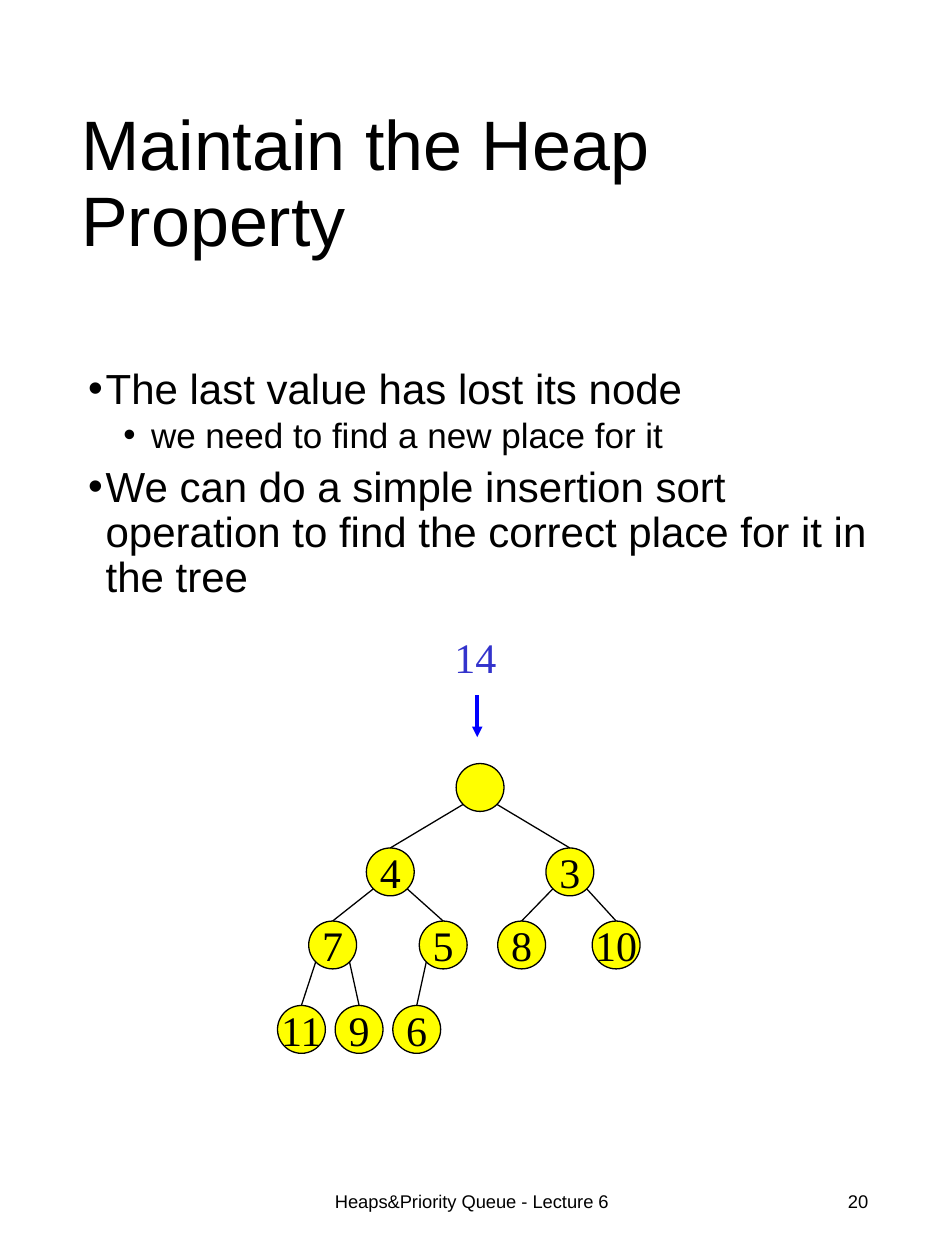
from math import sqrt

from lxml import etree
from pptx import Presentation
from pptx import util as u
from pptx.dml.color import RGBColor
from pptx.enum import shapes, text
from pptx.oxml.ns import qn

# The slide is a grid of 100 columns by 100 rows
W, H = u.Inches(7.5), u.Inches(10)
NODE = u.Inches(0.38)
SANS, SERIF = "Arial", "Times New Roman"
BLACK, YELLOW, BLUE, INDIGO = "000000", "FFFF00", "0000FF", "3333CC"

# Heap in array order: the children of item i are items 2i + 1 and 2i + 2
HEAP = ["", "4", "3", "7", "5", "8", "10", "11", "9", "6"]
CENTRES = [50.8, 41.3, 60.3, 35.2, 46.9, 55.2, 65.2, 31.9, 38, 44.1]
LEVEL_TOPS = [60.6, 67.3, 73.1, 79.8]

BULLETS = [
    ("The last value has lost its node", 24, 0.14, 0.14, 0),
    ("we need to find a new place for it", 20, 0.5, 0.22, 2.8),
    ("We can do a simple insertion sort operation to find the correct "
     "place for it in the tree", 24, 0.14, 0.14, 5.7),
]


def col(n):
    return round(W * n / 100)


def row(n):
    return round(H * n / 100)


def color(value):
    return RGBColor.from_string(value)


def write(p, words, size=24, font=SANS, fill=BLACK, align=None, spacing=None,
          before=None):
    """Put formatted words in a paragraph."""
    r = p.add_run()
    r.text = words
    r.font.size = u.Pt(size)
    r.font.name = font
    r.font.color.rgb = color(fill)
    p.alignment = align
    p.line_spacing = spacing
    if before:
        p.space_before = u.Pt(before)


def add_box(s, x, y, w, h, anchor=text.MSO_ANCHOR.MIDDLE):
    tf = s.shapes.add_textbox(col(x), row(y), col(w), row(h)).text_frame
    tf.word_wrap = True
    tf.vertical_anchor = anchor
    return tf


def add_bullet(p, left, hang):
    pPr = p._p.get_or_add_pPr()
    pPr.set("marL", str(u.Inches(left)))
    pPr.set("indent", str(-u.Inches(hang)))
    etree.SubElement(pPr, qn("a:buFont")).set("typeface", SANS)
    etree.SubElement(pPr, qn("a:buChar")).set("char", "•")


def add_node(s, label, x, y, filled=True, ink=BLACK):
    """Draw a round node centred on column x with its top at row y."""
    sp = s.shapes.add_shape(shapes.MSO_SHAPE.OVAL, col(x) - NODE // 2, row(y),
                            NODE, NODE)
    sp.shadow.inherit = False
    if filled:
        sp.fill.solid()
        sp.fill.fore_color.rgb = color(YELLOW)
        sp.line.color.rgb = color(BLACK)
        sp.line.width = u.Pt(0.75)
    else:
        sp.fill.background()
        sp.line.fill.background()
    tf = sp.text_frame
    tf.word_wrap = False
    tf.vertical_anchor = text.MSO_ANCHOR.MIDDLE
    tf.margin_left = tf.margin_right = tf.margin_top = tf.margin_bottom = 0
    if label:
        write(tf.paragraphs[0], label, font=SERIF, fill=ink,
              align=text.PP_ALIGN.CENTER)
    return sp


def add_line(s, x1, y1, x2, y2, stroke=BLACK, width=0.75, arrow=False):
    line = s.shapes.add_connector(shapes.MSO_CONNECTOR.STRAIGHT, x1, y1, x2, y2)
    line.line.color.rgb = color(stroke)
    line.line.width = u.Pt(width)
    if arrow:
        etree.SubElement(line.line._get_or_add_ln(),
                         qn("a:tailEnd")).set("type", "triangle")
    etree.SubElement(line._element.spPr, qn("a:effectLst"))
    return line


def add_edge(s, parent, child, side):
    """Join a parent's lower left (-1) or right (1) to the top of a child."""
    reach = round(NODE / 2 / sqrt(2))
    x = parent.left + NODE // 2 + side * reach
    y = parent.top + NODE // 2 + reach
    line = add_line(s, x, y, child.left + NODE // 2, child.top)
    line.end_connect(child, 0)


def add_heap(s):
    nodes = []
    for i, (label, x) in enumerate(zip(HEAP, CENTRES)):
        level = (i + 1).bit_length() - 1
        nodes.append(add_node(s, label, x, LEVEL_TOPS[level]))
    for i in range(1, len(nodes)):
        add_edge(s, nodes[(i - 1) // 2], nodes[i], -1 if i % 2 else 1)


def main():
    prs = Presentation()
    prs.slide_width, prs.slide_height = W, H
    s = prs.slides.add_slide(prs.slide_layouts[6])

    # Title
    tf = add_box(s, 7.3, 5.1, 86.3, 19.3)
    write(tf.paragraphs[0], "Maintain the Heap Property", size=40, spacing=0.9)

    # Bullets
    tf = add_box(s, 8, 28.7, 85.6, 33.8, anchor=text.MSO_ANCHOR.TOP)
    for i, (words, size, left, hang, before) in enumerate(BULLETS):
        p = tf.add_paragraph() if i else tf.paragraphs[0]
        add_bullet(p, left, hang)
        write(p, words, size=size, spacing=0.9, before=before)

    # Value waiting for a place, above the heap
    add_node(s, "14", 50.3, 50.2, filled=False, ink=INDIGO)
    add_line(s, col(50.5), row(55.2), col(50.5), row(58.5), stroke=BLUE,
             width=2, arrow=True)
    add_heap(s)

    # Footer
    tf = add_box(s, 33.1, 92.7, 33.7, 5.3)
    write(tf.paragraphs[0], "Heaps&Priority Queue - Lecture 6", size=10.5,
          align=text.PP_ALIGN.CENTER)
    tf = add_box(s, 70.7, 92.7, 22.5, 5.3)
    write(tf.paragraphs[0], "20", size=10.5, align=text.PP_ALIGN.RIGHT)

    prs.save("out.pptx")


if __name__ == "__main__":
    main()
